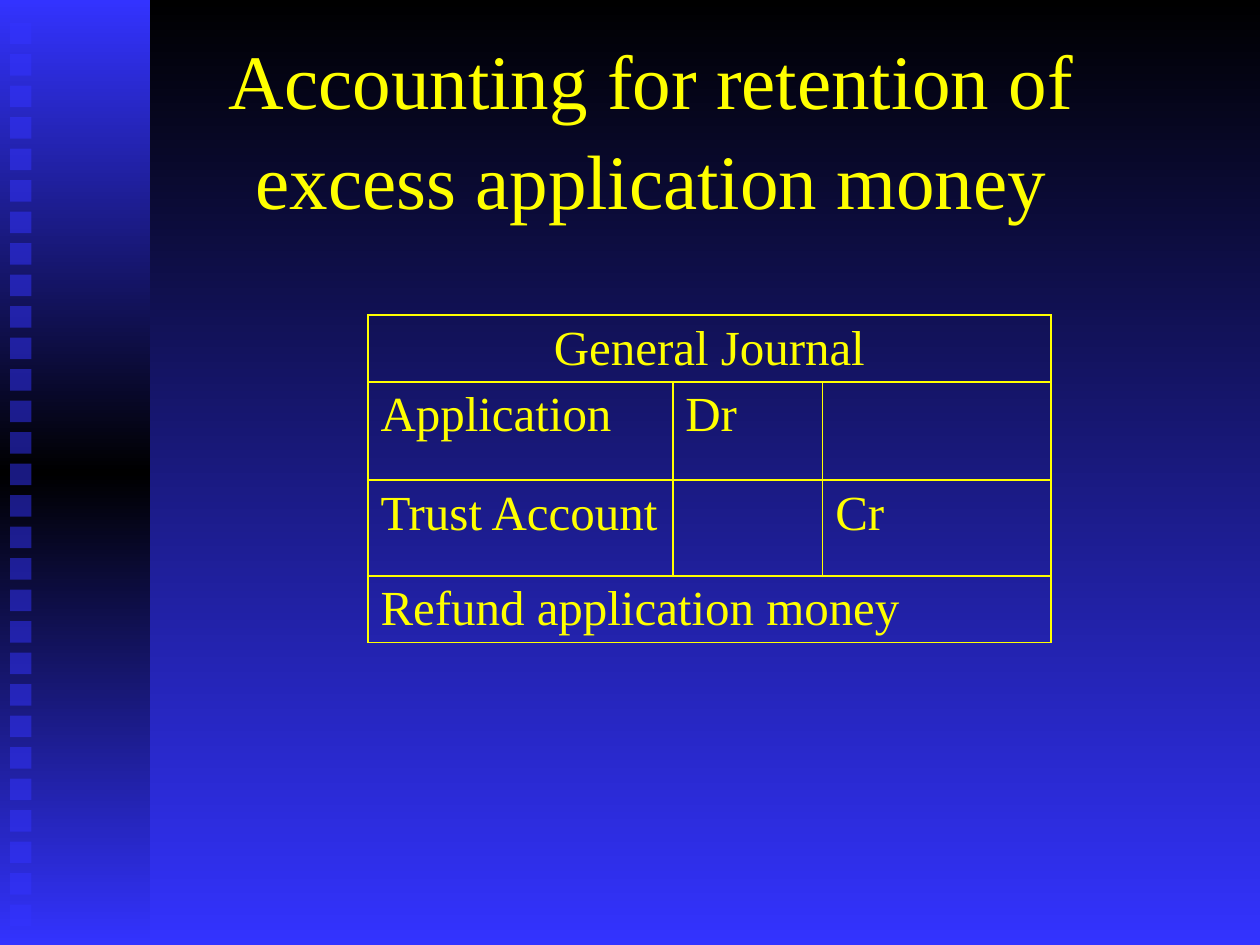
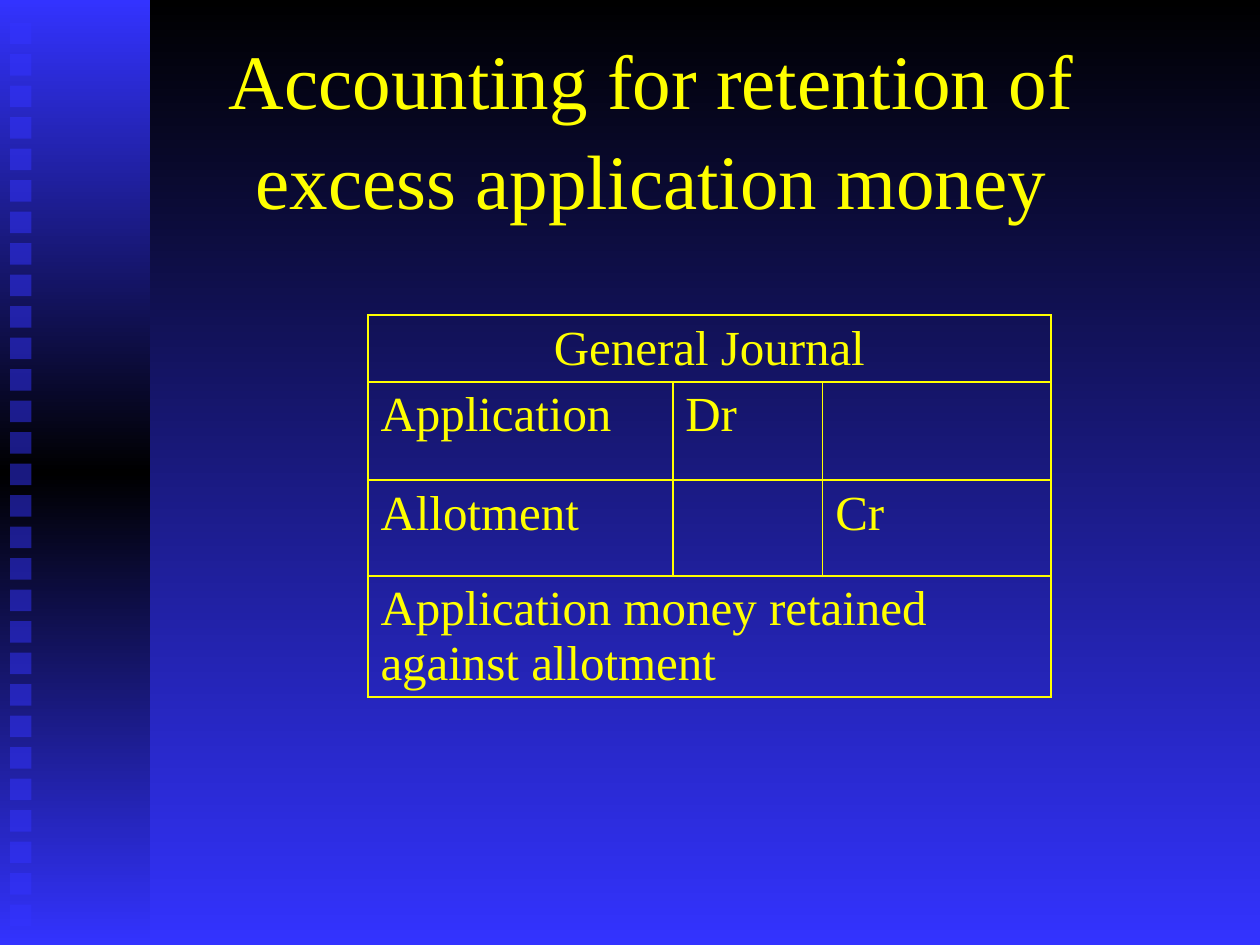
"""Build two slides on journal entries for excess application money."""
from copy import deepcopy
from dataclasses import dataclass

from lxml.etree import SubElement
from pptx import Presentation
from pptx.dml.color import RGBColor
from pptx.enum.shapes import MSO_SHAPE
from pptx.enum.text import MSO_ANCHOR, MSO_AUTO_SIZE, PP_ALIGN
from pptx.oxml import parse_xml
from pptx.oxml.ns import nsdecls, qn
from pptx.util import Pt

PX = 9144


@dataclass(frozen=True)
class Theme:
    font: str = "Times New Roman"
    text: str = "FFFF00"
    dark: str = "000000"
    bright: str = "3333FF"
    title_size: int = 44
    table_size: int = 28
    border_width: int = 1


theme = Theme()


def paint_gradient(fill, colours):
    fill.gradient()
    fill.gradient_angle = 270
    first_stop = fill.gradient_stops[0]._gs
    for _ in colours[2:]:
        first_stop.addnext(deepcopy(first_stop))
    for index, (stop, colour) in enumerate(zip(fill.gradient_stops, colours)):
        stop.color.rgb = RGBColor.from_string(colour)
        stop.position = index / (len(colours) - 1)


def write(text_frame, text, size, alignment):
    paragraph = text_frame.paragraphs[0]
    paragraph.alignment = alignment
    run = paragraph.add_run()
    run.text = text
    run.font.name = theme.font
    run.font.size = Pt(size)
    run.font.color.rgb = RGBColor.from_string(theme.text)
    return paragraph


presentation = Presentation()
presentation.slide_width = 1000 * PX
presentation.slide_height = 750 * PX
master = presentation.slide_master
title_layout = presentation.slide_layouts.get_by_name("Title Only")
paint_gradient(master.background.fill, [theme.dark, theme.bright])

title_text = "Accounting for retention of excess application money"
column_widths = [242, 119, 181]
journals = [
    ("Trust Account", "Refund application money", 53),
    ("Allotment", "Application money retained against allotment", 96),
]

for credit_account, narration, narration_height in journals:
    slide = presentation.slides.add_slide(title_layout)
    title = slide.shapes.title
    title.left, title.top, title.width, title.height = 92 * PX, 33 * PX, 850 * PX, 133 * PX
    title.text_frame.word_wrap = True
    title.text_frame.auto_size = MSO_AUTO_SIZE.NONE
    title.text_frame.vertical_anchor = MSO_ANCHOR.MIDDLE
    paragraph = write(title.text_frame, title_text, theme.title_size, PP_ALIGN.CENTER)
    paragraph.line_spacing = 1.08

    rows = [
        ["General Journal", "", ""],
        ["Application", "Dr", ""],
        [credit_account, "", "Cr"],
        [narration, "", ""],
    ]
    row_heights = [53, 78, 76, narration_height]
    table = slide.shapes.add_table(
        len(rows), len(column_widths), 292 * PX, 250 * PX,
        sum(column_widths) * PX, sum(row_heights) * PX,
    ).table
    table.first_row = False
    table.horz_banding = False
    for column, width in zip(table.columns, column_widths):
        column.width = width * PX
    for row, height in zip(table.rows, row_heights):
        row.height = height * PX
    for row_index in (0, 3):
        table.cell(row_index, 0).merge(table.cell(row_index, 2))

    for row_index, row_texts in enumerate(rows):
        for column_index, text in enumerate(row_texts):
            cell = table.cell(row_index, column_index)
            if text:
                alignment = PP_ALIGN.LEFT if row_index else PP_ALIGN.CENTER
                write(cell.text_frame, text, theme.table_size, alignment)
            cell.fill.background()
            properties = cell._tc.get_or_add_tcPr()
            for position, side in enumerate("LRTB"):
                properties.insert(position, parse_xml(
                    f'<a:ln{side} {nsdecls("a")} w="{Pt(theme.border_width)}">'
                    f'<a:solidFill><a:srgbClr val="{theme.text}"/></a:solidFill>'
                    f'</a:ln{side}>'
                ))

band_group = presentation.slides[0].shapes.add_group_shape()
band = band_group.shapes.add_shape(MSO_SHAPE.RECTANGLE, 0, 0, 119 * PX, 750 * PX)
paint_gradient(band.fill, [theme.bright, theme.dark, theme.bright])
for top in range(18, 719, 25):
    square = band_group.shapes.add_shape(
        MSO_SHAPE.RECTANGLE, 8 * PX, top * PX, 17 * PX, 17 * PX
    )
    square.fill.solid()
    square.fill.fore_color.rgb = RGBColor.from_string(theme.bright)
    colour = next(square.element.iter(qn("a:srgbClr")))
    SubElement(colour, qn("a:alpha"), val="50000")
for shape in band_group.shapes:
    shape.line.fill.background()
    shape.shadow.inherit = False

for shape_id, properties in enumerate(band_group.element.iter(qn("p:cNvPr")), 100):
    properties.set("id", str(shape_id))
master.shapes.element.insert(2, band_group.element)

presentation.save("out.pptx")
